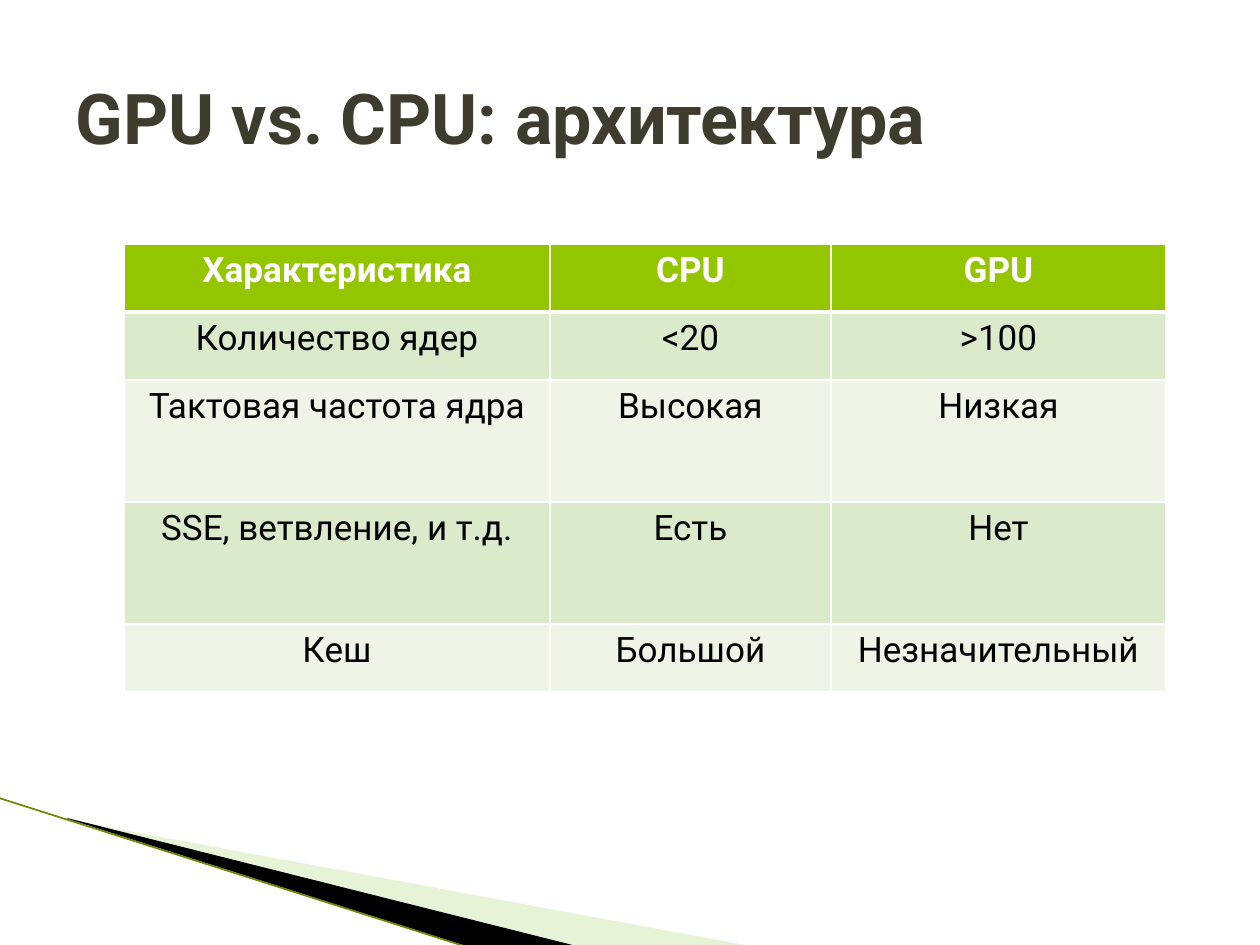
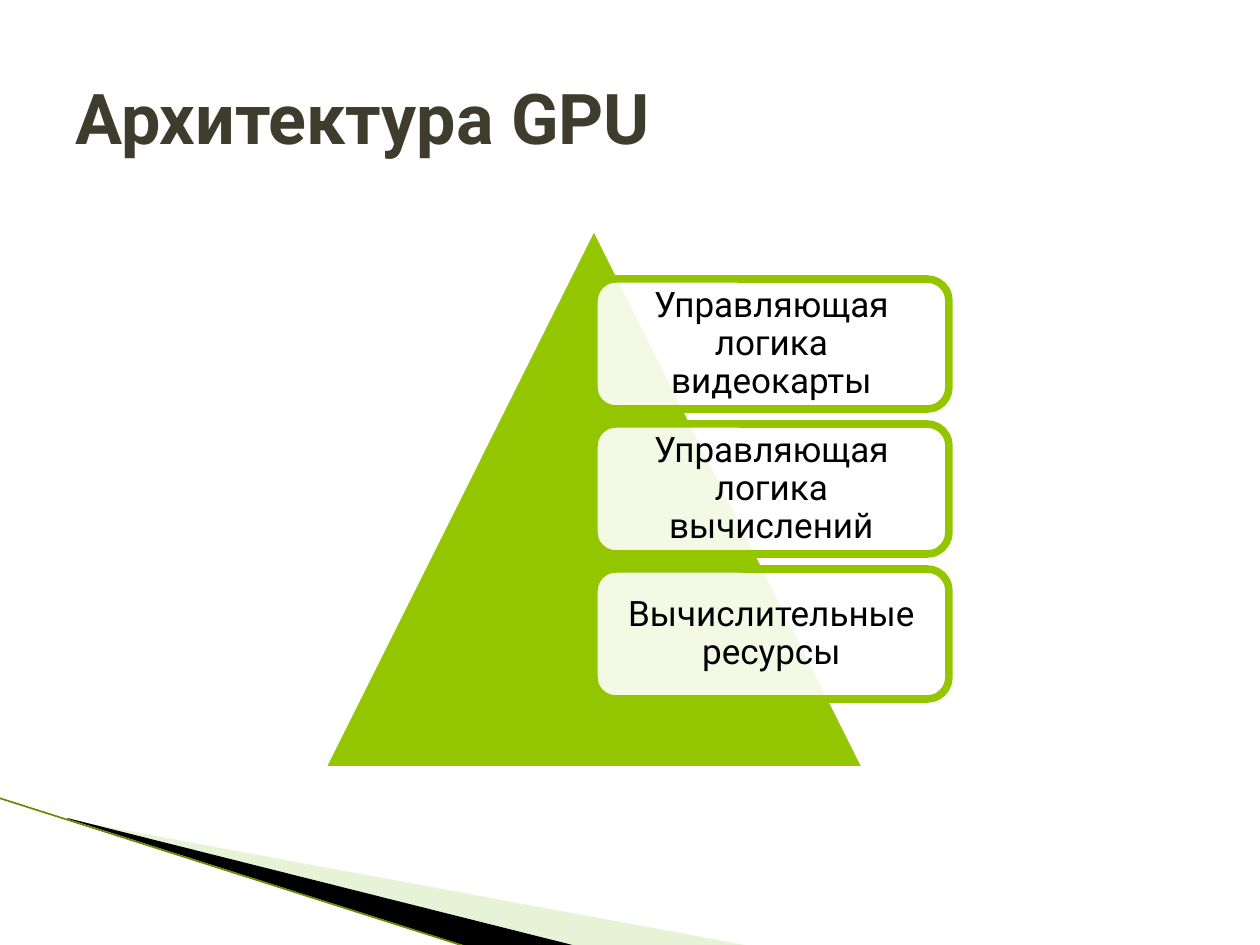
from pptx import Presentation
from pptx.dml.color import RGBColor
from pptx.enum.shapes import MSO_CONNECTOR, MSO_SHAPE
from pptx.enum.text import MSO_ANCHOR, PP_ALIGN
from pptx.oxml.ns import qn
from pptx.util import Pt
from lxml import etree

TRIANGLE, ROUND = MSO_SHAPE.ISOSCELES_TRIANGLE, MSO_SHAPE.ROUNDED_RECTANGLE
STRAIGHT = MSO_CONNECTOR.STRAIGHT
MIDDLE = MSO_ANCHOR.MIDDLE
LEFT, CENTER = PP_ALIGN.LEFT, PP_ALIGN.CENTER

WHITE = RGBColor(0xFF, 0xFF, 0xFF)
BLACK = RGBColor(0x00, 0x00, 0x00)
GREEN = RGBColor(0x94, 0xC6, 0x00)
OLIVE = RGBColor(0x6A, 0x8A, 0x00)
PALE = RGBColor(0xC3, 0xE1, 0x9D)
ODD = RGBColor(0xDC, 0xEA, 0xCC)
EVEN = RGBColor(0xEE, 0xF5, 0xE7)
DARK = RGBColor(0x3E, 0x3D, 0x2D)
FONT = "Roboto"
SCALE = 914400 / 126  # EMU in one pixel


def px(*vals):
    return [round(v * SCALE) for v in vals]


def write(para, text, size, color, bold=False, align=CENTER):
    para.alignment = align
    run = para.add_run()
    run.text = text
    font = run.font
    font.name, font.size, font.bold = FONT, Pt(size), bold
    font.color.rgb = color


def paint(shape, color, alpha=100):
    """Solid fill, no shadow, no line."""
    shape.shadow.inherit = False
    shape.fill.solid()
    shape.fill.fore_color.rgb = color
    if alpha < 100:
        tint = shape.element.spPr.find(qn("a:solidFill"))[0]
        etree.SubElement(tint, qn("a:alpha"), val=str(alpha * 1000))
    shape.line.fill.background()


def edge(shape, color, width):
    shape.line.color.rgb = color
    shape.line.width = Pt(width)


# Shared parts: corner wedges and title
def wedge(slide, points, color, alpha=100):
    path = slide.shapes.build_freeform(*points[0], scale=SCALE)
    path.add_line_segments(points[1:], close=True)
    paint(path.convert_to_shape(), color, alpha)


def corner(slide):
    wedge(slide, [(69, 820), (750, 946), (575, 946), (69, 819)], PALE, 40)
    wedge(slide, [(67, 818), (576, 946), (469, 947), (68, 819)], BLACK)
    line = slide.shapes.add_connector(STRAIGHT, *px(-1, 798, 467, 947))
    edge(line, OLIVE, 0.95)
    etree.SubElement(line.element.spPr, qn("a:effectLst"))


def start(deck, text):
    slide = deck.slides.add_slide(deck.slide_layouts[5])
    corner(slide)
    title = slide.shapes.title
    title.left, title.top, title.width, title.height = px(63, 38, 1134, 158)
    frame = title.text_frame
    frame.vertical_anchor = MIDDLE
    write(frame.paragraphs[0], text, 40, DARK, True, LEFT)
    return slide


# Comparison table
def border(cell, tag, width):
    props = cell._tc.get_or_add_tcPr()
    line = etree.SubElement(props, qn("a:" + tag), w=str(Pt(width)))
    fill = etree.SubElement(line, qn("a:solidFill"))
    etree.SubElement(fill, qn("a:srgbClr"), val=str(WHITE))


def grid(slide, left, top, cols, rows, data):
    box = px(left, top, sum(cols), sum(rows))
    table = slide.shapes.add_table(len(rows), len(cols), *box).table
    for col, width in zip(table.columns, px(*cols)):
        col.width = width
    for r, (row, height) in enumerate(zip(table.rows, px(*rows))):
        row.height = height
        head = r == 0
        for cell, text in zip(row.cells, data[r]):
            border(cell, "lnL", 1)
            border(cell, "lnR", 1)
            border(cell, "lnT", 3 if r == 1 else 1)
            border(cell, "lnB", 3 if head else 1)
            cell.fill.solid()
            cell.fill.fore_color.rgb = GREEN if head else ODD if r % 2 else EVEN
            para = cell.text_frame.paragraphs[0]
            write(para, text, 20, WHITE if head else BLACK, head)


# Triangle with a stack of labels
def pyramid(slide, left, top, size, labels):
    cone = slide.shapes.add_shape(TRIANGLE, *px(left, top, size, size))
    paint(cone, GREEN)
    edge(cone, WHITE, 4.33)
    wide, high, step = 355, 130, 145
    for i, text in enumerate(labels):
        spot = px(left + size / 2, top + 55 + i * step, wide, high)
        card = slide.shapes.add_shape(ROUND, *spot)
        paint(card, WHITE, 90)
        edge(card, GREEN, 4.33)
        frame = card.text_frame
        frame.word_wrap = True
        frame.vertical_anchor = MIDDLE
        (frame.margin_left, frame.margin_top,
         frame.margin_right, frame.margin_bottom) = px(10, 10, 10, 10)
        para = frame.paragraphs[0]
        para.line_spacing = 0.9
        write(para, text, 20, BLACK)


deck = Presentation()
deck.slide_width, deck.slide_height = px(1260, 945)

slide = start(deck, "GPU vs. CPU: архитектура")
grid(slide, 124, 244, [426, 281, 335], [68, 68, 122, 122, 68], [
    ("Характеристика", "CPU", "GPU"),
    ("Количество ядер", "<20", ">100"),
    ("Тактовая частота ядра", "Высокая", "Низкая"),
    ("SSE, ветвление, и т.д.", "Есть", "Нет"),
    ("Кеш", "Большой", "Незначительный"),
])

slide = start(deck, "Архитектура GPU")
pyramid(slide, 321, 224, 546, [
    "Управляющая логика видеокарты",
    "Управляющая логика вычислений",
    "Вычислительные ресурсы",
])

deck.save("out.pptx")
